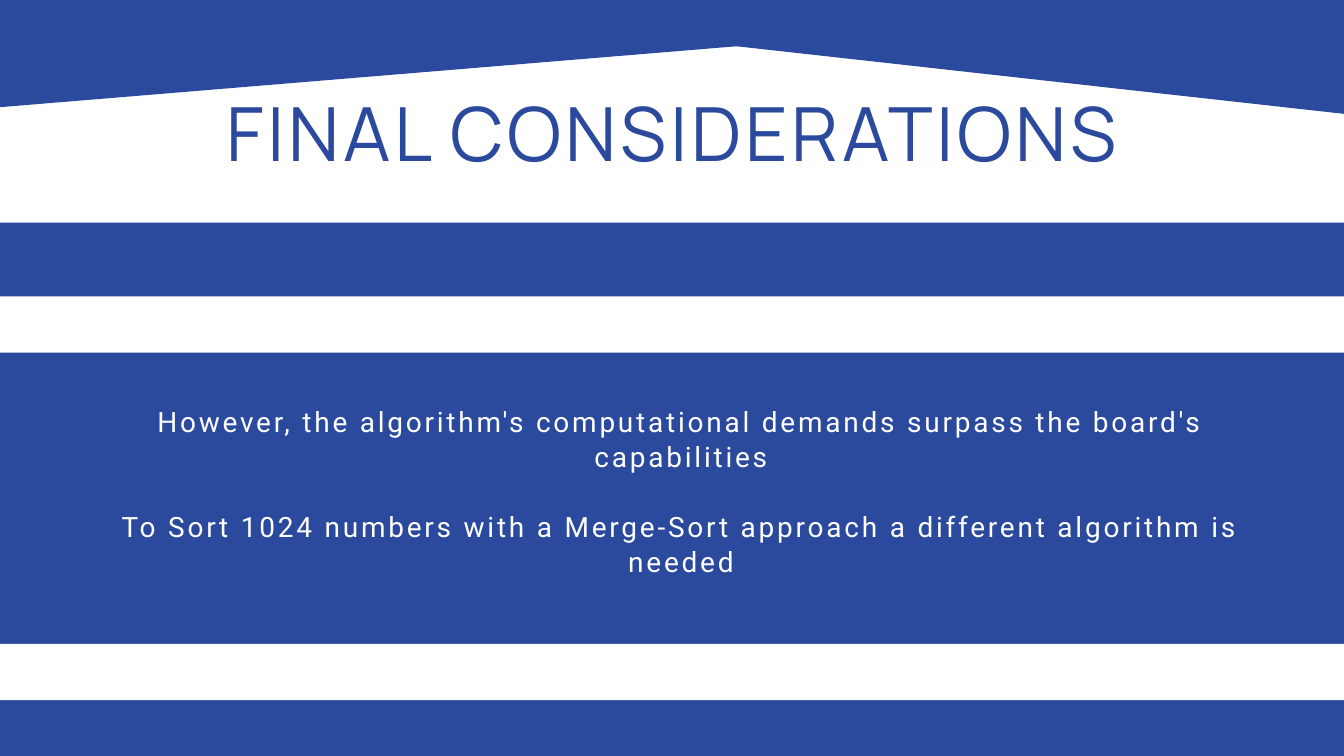
from pptx import Presentation
from pptx.dml.color import RGBColor
from pptx.enum.shapes import MSO_SHAPE
from pptx.enum.text import MSO_ANCHOR, MSO_AUTO_SIZE, PP_ALIGN
from pptx.util import Pt

RECTANGLE = MSO_SHAPE.RECTANGLE
TOP = MSO_ANCHOR.TOP
NO_AUTOFIT = MSO_AUTO_SIZE.NONE
CENTER = PP_ALIGN.CENTER

COLORS = {"blue": "2B4A9D", "white": "FFFFFF"}
WIDTH, HEIGHT = 1440, 810
ROOF_HEIGHT = 130.3
STRIPE_HEIGHT = 60.3
TITLE_LAYOUT = 5


def write_text(frame, paragraphs, *, font, size, color, tracking, line, gap=0):
    frame.word_wrap = True
    frame.auto_size = NO_AUTOFIT
    frame.vertical_anchor = TOP
    frame.margin_left = frame.margin_right = 0
    frame.margin_top = frame.margin_bottom = 0
    for index, text in enumerate(paragraphs):
        paragraph = frame.add_paragraph() if index else frame.paragraphs[0]
        paragraph.alignment = CENTER
        paragraph.line_spacing = Pt(line)
        paragraph.space_before = Pt(gap if index else 0)
        run = paragraph.add_run()
        run.text = text
        run.font.name = font
        run.font.size = Pt(size)
        run.font.color.rgb = RGBColor.from_string(COLORS[color])
        run.font._element.set("spc", str(tracking * 100))


class SlideBuilder:
    heading_style = {"font": "Manrope", "size": 80, "color": "blue",
                     "tracking": 4, "line": 84}
    body_style = {"font": "Roboto", "size": 30, "color": "white",
                  "tracking": 3, "line": 37.5, "gap": 37.5}

    def __init__(self, presentation):
        layout = presentation.slide_layouts[TITLE_LAYOUT]
        self.slide = presentation.slides.add_slide(layout)

    def band(self, left, top, height, color, rotation=0):
        shape = self.slide.shapes.add_shape(
            RECTANGLE, Pt(left), Pt(top), Pt(WIDTH), Pt(height))
        shape.shadow.inherit = False
        shape.fill.solid()
        shape.fill.fore_color.rgb = RGBColor.from_string(COLORS[color])
        shape.line.fill.background()
        shape.rotation = rotation

    def title(self, text, left, top, width, height):
        title = self.slide.shapes.title
        title.left, title.top = Pt(left), Pt(top)
        title.width, title.height = Pt(width), Pt(height)
        write_text(title.text_frame, [text], **self.heading_style)
        title.element.getparent().append(title.element)

    def body(self, paragraphs, left, top, width, height):
        box = self.slide.shapes.add_textbox(
            Pt(left), Pt(top), Pt(width), Pt(height))
        write_text(box.text_frame, paragraphs, **self.body_style)


def main():
    presentation = Presentation()
    presentation.slide_width = Pt(WIDTH)
    presentation.slide_height = Pt(HEIGHT)

    builder = SlideBuilder(presentation)
    panel_top = 238.5
    builder.band(0, panel_top, HEIGHT - panel_top, "blue")
    builder.band(299.5, -55.5, ROOF_HEIGHT, "blue", rotation=6.35)
    builder.band(-299.5, -50.4, ROOF_HEIGHT, "blue", rotation=-4.73)
    for stripe_top in (317.5, 689.8):
        builder.band(0, stripe_top, STRIPE_HEIGHT, "white")

    builder.title("FINAL CONSIDERATIONS", 116.6, 105.1, 1206.7, 86.4)
    builder.body(
        ["However, the algorithm's computational demands surpass the board's capabilities",
         "To Sort 1024 numbers with a Merge-Sort approach a different algorithm is needed"],
        84.2, 432, 1291, 188.6)

    presentation.save("out.pptx")


if __name__ == "__main__":
    main()
